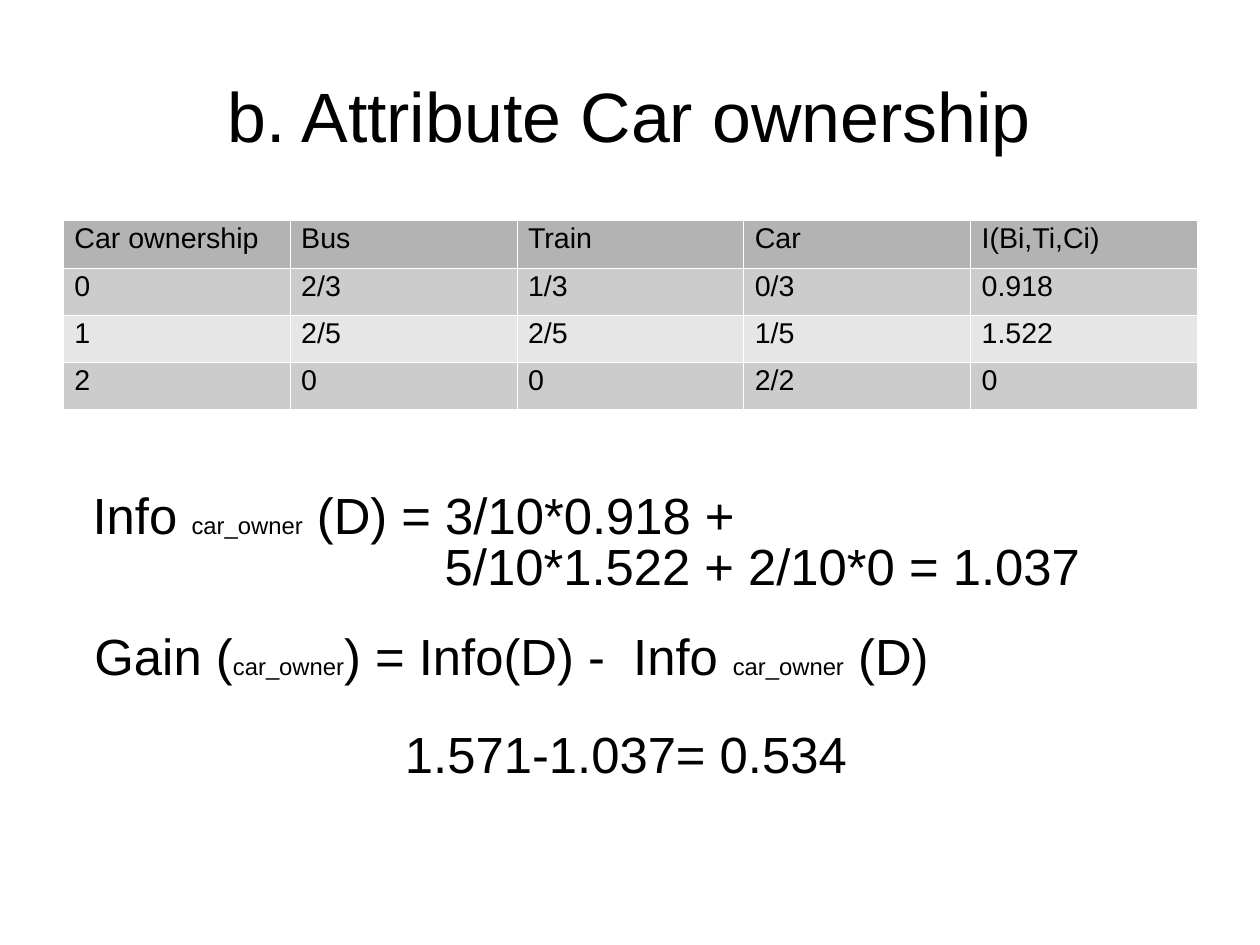
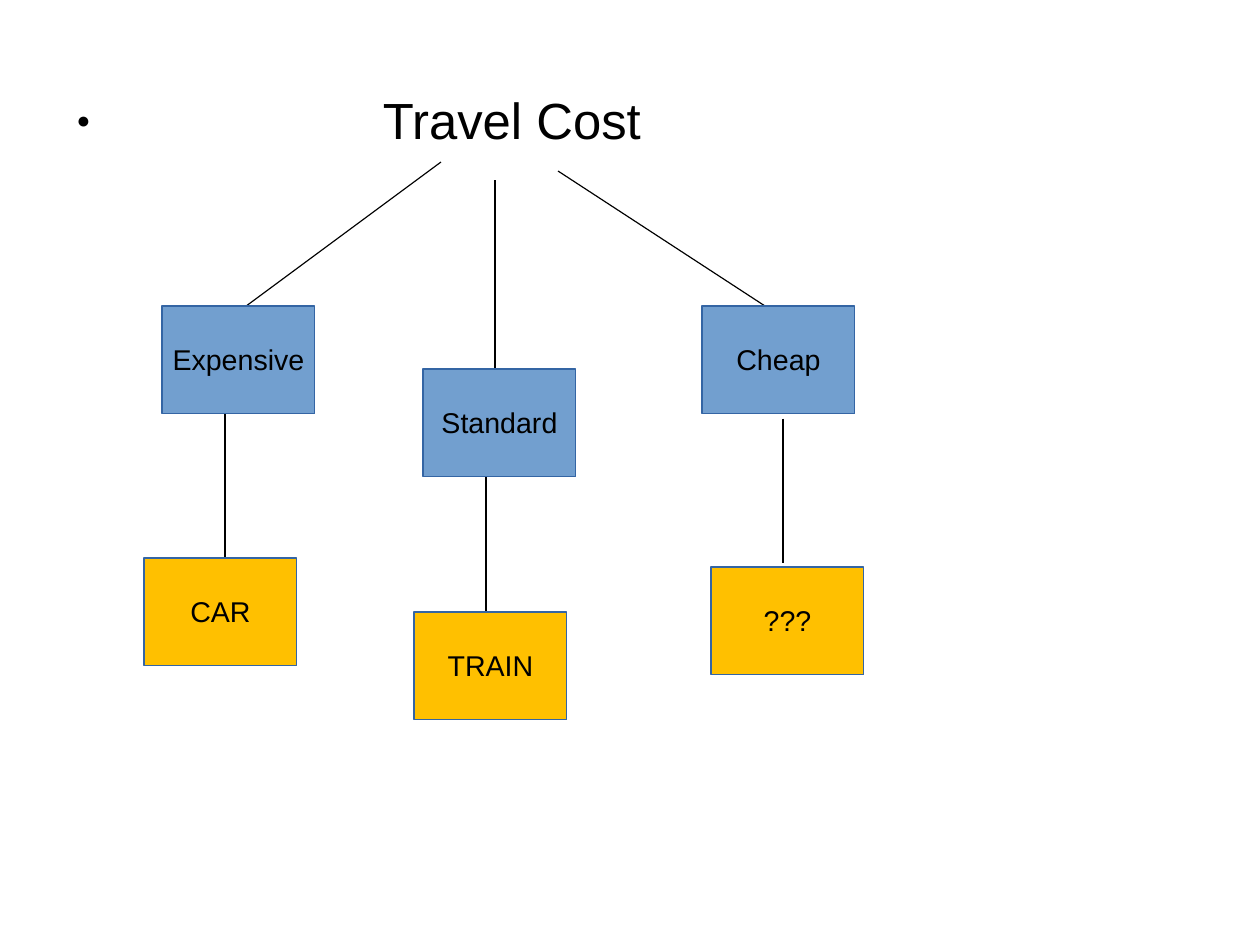
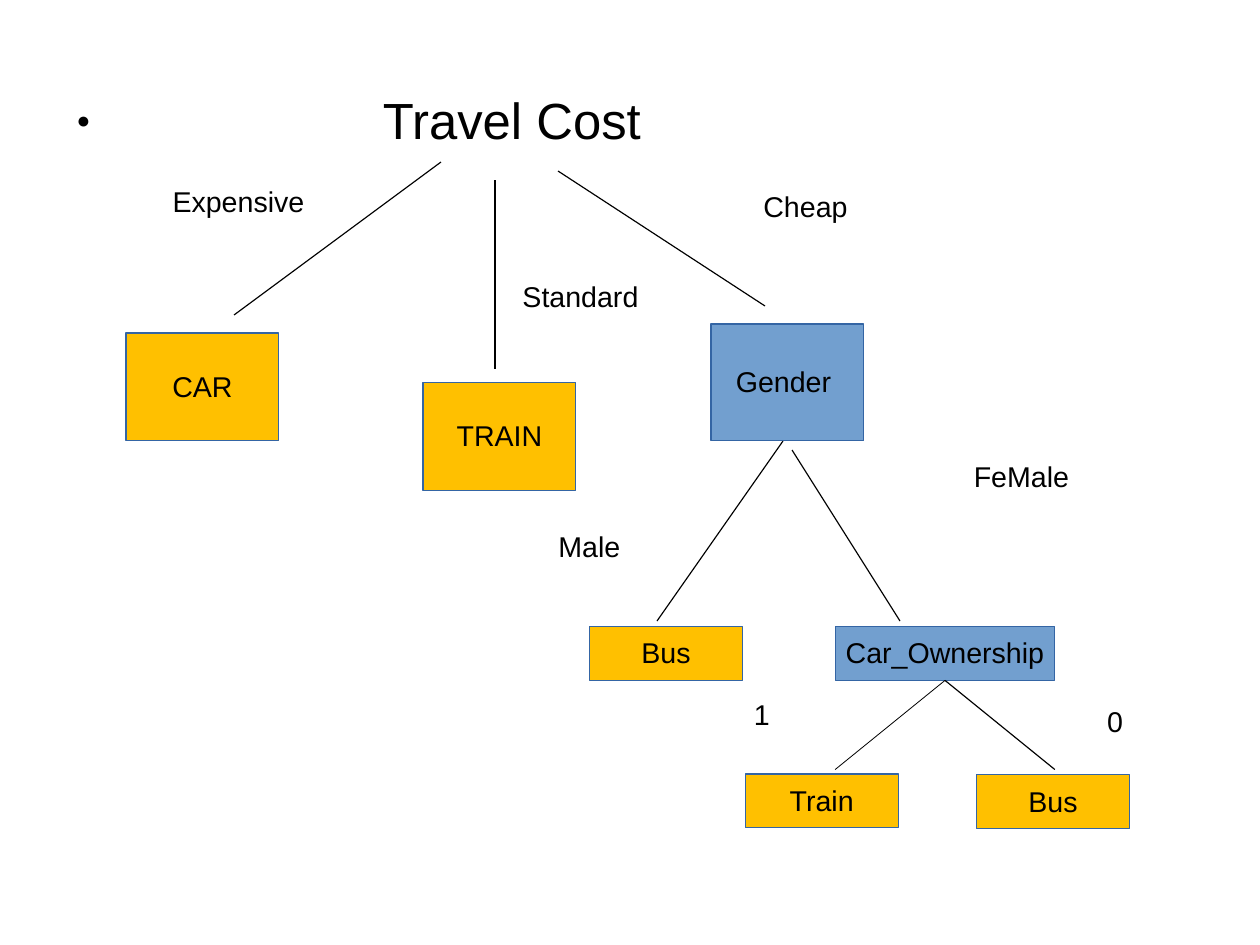
"""Builds three slides on a decision tree for choosing a means of transport."""
from typing import NamedTuple

from lxml import etree
from pptx import Presentation
from pptx import util as u
from pptx.dml.color import RGBColor
from pptx.enum import shapes, text
from pptx.oxml import ns

COLOURS = {
    "ink": "000000", "paper": "FFFFFF", "edge": "3465A4",
    "choice": "729FCF", "result": "FFC000",
    "head": "B3B3B3", "odd": "CCCCCC", "even": "E6E6E6",
}
FONT = "Arial"
CELL = u.Mm(2)
COLUMNS, ROWS = 140, 105
MARGIN = 7
FORMULA_SIZE, INDEX_SIZE = 32, 15
NODE_INSETS = (0.1, 0.06, 0.1, 0.05)
CELL_INSETS = (0.1, 0.05, 0.1, 0.05)
FORMULA_INSETS = (0, 0.03, 0, 0)


class Area(NamedTuple):
    """A rectangle in grid columns and rows."""
    col: float
    row: float
    cols: float = 17
    rows: float = 12


class Node(NamedTuple):
    """A tree node, or a bare branch label when it has no fill."""
    words: str
    area: Area
    fill: str | None = None


class Line(NamedTuple):
    """A straight branch between two grid points."""
    start: tuple[float, float]
    end: tuple[float, float]
    weight: float = 0.75


class Span(NamedTuple):
    """A stretch of text of one size."""
    words: str
    size: float = FORMULA_SIZE


class Formula(NamedTuple):
    """Paragraphs of spans with the left margin of each paragraph."""
    area: Area
    paras: list[list[Span]]
    margins: tuple[float, ...] = (0,)


OWNER = Span("car_owner", INDEX_SIZE)
OWNERSHIP = [
    ["Car ownership", "Bus", "Train", "Car", "I(Bi,Ti,Ci)"],
    ["0", "2/3", "1/3", "0/3", "0.918"],
    ["1", "2/5", "2/5", "1/5", "1.522"],
    ["2", "0", "0", "2/2", "0"],
]
FORMULAS = [
    Formula(Area(10.3, 54, 119.5, 12.7),
            [[Span("Info "), OWNER, Span(" (D) = 3/10*0.918 +")],
             [Span("5/10*1.522 + 2/10*0 = 1.037")]], (0, 3.08)),
    Formula(Area(10.5, 70, 96.5, 6.4),
            [[Span("Gain ("), OWNER, Span(") = Info(D) -  Info "), OWNER, Span(" (D)")]]),
    Formula(Area(45, 80.9, 50.2, 6.4), [[Span("1.571-1.037= 0.534")]]),
]
ROOT_LINES = [
    Line((49, 18), (26, 35)),
    Line((55, 20), (55, 41)),
    Line((62, 19), (85, 34)),
]
COST_LINES = [
    Line((25, 46), (25, 62)),
    Line((54, 53), (54, 68)),
    Line((87, 46.5), (87, 62.5)),
]
COST_NODES = [
    Node("Expensive", Area(18, 34), "choice"),
    Node("Standard", Area(47, 41), "choice"),
    Node("Cheap", Area(78, 34), "choice"),
    Node("CAR", Area(16, 62), "result"),
    Node("TRAIN", Area(46, 68), "result"),
    Node("???", Area(79, 63), "result"),
]
GENDER_LINES = [Line((87, 49), (73, 69)), Line((88, 50), (100, 69))]
GENDER_NODES = [
    Node("Expensive", Area(16, 18, 21, 9)),
    Node("Standard", Area(56, 27)),
    Node("Cheap", Area(81, 17)),
    Node("CAR", Area(14, 37), "result"),
    Node("TRAIN", Area(47, 42.5), "result"),
    Node("Gender ", Area(79, 36, rows=13), "choice"),
    Node("Male", Area(57, 56, rows=9.5)),
    Node("FeMale", Area(105, 47)),
    Node("Bus", Area(65.5, 69.6, rows=6), "result"),
    Node("Train", Area(82.8, 86, rows=6), "result"),
    Node("Bus", Area(108.5, 86.1, rows=6), "result"),
    Node("1", Area(80.4, 77, 8.5, 5)),
    Node("0", Area(114, 79, 19.8, 2.5)),
]
OWNERSHIP_NODE = Node("Car_Ownership", Area(92.8, 69.6, 24.4, 6), "choice")
OWNERSHIP_LINES = [
    Line((105, 75.6), (92.8, 85.5), 0.5),
    Line((105, 75.6), (117.2, 85.5)),
]


def colour(name: str) -> RGBColor:
    """Return a palette colour."""
    return RGBColor.from_string(COLOURS[name])


def grid(*counts: float) -> list[int]:
    """Turn grid counts into lengths."""
    return [round(count * CELL) for count in counts]


def add_child(parent, tag: str, **values: str):
    """Append a drawing element with attributes."""
    return etree.SubElement(parent, ns.qn(tag), values)


def write(frame, paras: list[list[Span]], *, insets=FORMULA_INSETS, spacing=0.84,
          align=text.PP_ALIGN.LEFT, anchor=text.MSO_ANCHOR.MIDDLE,
          wrap=True, margins=(0,), bullet_gap=0.0) -> None:
    """Fill a text frame with formatted paragraphs."""
    frame.word_wrap = wrap
    frame.vertical_anchor = anchor
    (frame.margin_left, frame.margin_top,
     frame.margin_right, frame.margin_bottom) = map(u.Inches, insets)
    for number, (spans, margin) in enumerate(zip(paras, margins)):
        para = frame.add_paragraph() if number else frame.paragraphs[0]
        props = para._p.get_or_add_pPr()
        props.set("marL", str(u.Inches(margin)))
        props.set("indent", str(-u.Inches(bullet_gap)))
        if bullet_gap:
            add_child(add_child(props, "a:buClr"), "a:srgbClr", val=COLOURS["ink"])
            add_child(props, "a:buSzPct", val="45000")
            add_child(props, "a:buFont", typeface=FONT)
            add_child(props, "a:buChar", char="●")
        para.alignment = align
        para.line_spacing = spacing
        for words, size in spans:
            span = para.add_run()
            span.text = words
            span.font.name = FONT
            span.font.size = u.Pt(size)
            span.font.color.rgb = colour("ink")


def add_text(page, area: Area, paras: list[list[Span]], **style) -> None:
    """Add a text box on the grid."""
    write(page.shapes.add_textbox(*grid(*area)).text_frame, paras, **style)


def add_node(page, node: Node):
    """Add a filled tree node or a bare label."""
    if node.fill:
        box = page.shapes.add_shape(shapes.MSO_SHAPE.RECTANGLE, *grid(*node.area))
        box.shadow.inherit = False
        box.fill.solid()
        box.fill.fore_color.rgb = colour(node.fill)
        box.line.color.rgb = colour("edge")
        box.line.width = u.Pt(0.75)
    else:
        box = page.shapes.add_textbox(*grid(*node.area))
    write(box.text_frame, [[Span(node.words, 18)]], insets=NODE_INSETS,
          spacing=0.94, align=text.PP_ALIGN.CENTER, wrap=False)
    return box


def add_line(page, line: Line):
    """Add a straight black connector."""
    branch = page.shapes.add_connector(
        shapes.MSO_CONNECTOR.STRAIGHT, *grid(*line.start, *line.end))
    branch.line.color.rgb = colour("ink")
    branch.line.width = u.Pt(line.weight)
    add_child(branch._element.spPr, "a:effectLst")
    return branch


def add_borders(cell) -> None:
    """Give a table cell hairline borders."""
    props = cell._tc.get_or_add_tcPr()
    for place, side in enumerate(("a:lnL", "a:lnR", "a:lnT", "a:lnB")):
        border = add_child(props, side, w=str(u.Pt(0.06)))
        add_child(add_child(border, "a:solidFill"), "a:srgbClr", val=COLOURS["paper"])
        props.insert(place, border)


def add_grid_table(page, area: Area, rows: list[list[str]]) -> None:
    """Add a table with a grey head and banded rows."""
    table = page.shapes.add_table(len(rows), len(rows[0]), *grid(*area)).table
    table.first_row = table.horz_banding = False
    for number, words in enumerate(rows):
        band = "head" if number == 0 else "odd" if number % 2 else "even"
        for column, value in enumerate(words):
            cell = table.cell(number, column)
            cell.fill.solid()
            cell.fill.fore_color.rgb = colour(band)
            write(cell.text_frame, [[Span(value, 18)]], insets=CELL_INSETS,
                  spacing=0.89, anchor=text.MSO_ANCHOR.TOP)
            (cell.margin_left, cell.margin_top,
             cell.margin_right, cell.margin_bottom) = map(u.Inches, CELL_INSETS)
            cell.vertical_anchor = text.MSO_ANCHOR.TOP
            add_borders(cell)


def add_page(deck):
    """Add a blank slide."""
    return deck.slides.add_slide(deck.slide_layouts[6])


def add_tree(deck, lines: list[Line], nodes: list[Node]):
    """Add a slide with the travel cost tree."""
    page = add_page(deck)
    add_text(page, Area(MARGIN, 10, COLUMNS - 2 * MARGIN, 8), [[Span("Travel Cost")]],
             spacing=0.94, anchor=text.MSO_ANCHOR.TOP, margins=(2.8,), bullet_gap=2.68)
    for line in ROOT_LINES + lines:
        add_line(page, line)
    for node in nodes:
        add_node(page, node)
    return page


def add_ownership(deck) -> None:
    """Add the slide on the car ownership attribute."""
    page = add_page(deck)
    width = COLUMNS - 2 * MARGIN
    add_text(page, Area(MARGIN, 4.2, width, 17.5),
             [[Span("b. Attribute Car ownership", 44)]], spacing=0.94,
             insets=(0, 0.04, 0, 0), align=text.PP_ALIGN.CENTER)
    add_grid_table(page, Area(MARGIN, 24.5, width, 21), OWNERSHIP)
    for formula in FORMULAS:
        add_text(page, formula.area, formula.paras, margins=formula.margins)


def main() -> None:
    """Build and save the deck."""
    deck = Presentation()
    deck.slide_width, deck.slide_height = grid(COLUMNS, ROWS)
    add_ownership(deck)
    add_tree(deck, COST_LINES, COST_NODES)
    page = add_tree(deck, GENDER_LINES, GENDER_NODES)
    box = add_node(page, OWNERSHIP_NODE)
    for line in OWNERSHIP_LINES:
        add_line(page, line).begin_connect(box, 2)
    deck.save("out.pptx")


if __name__ == "__main__":
    main()
